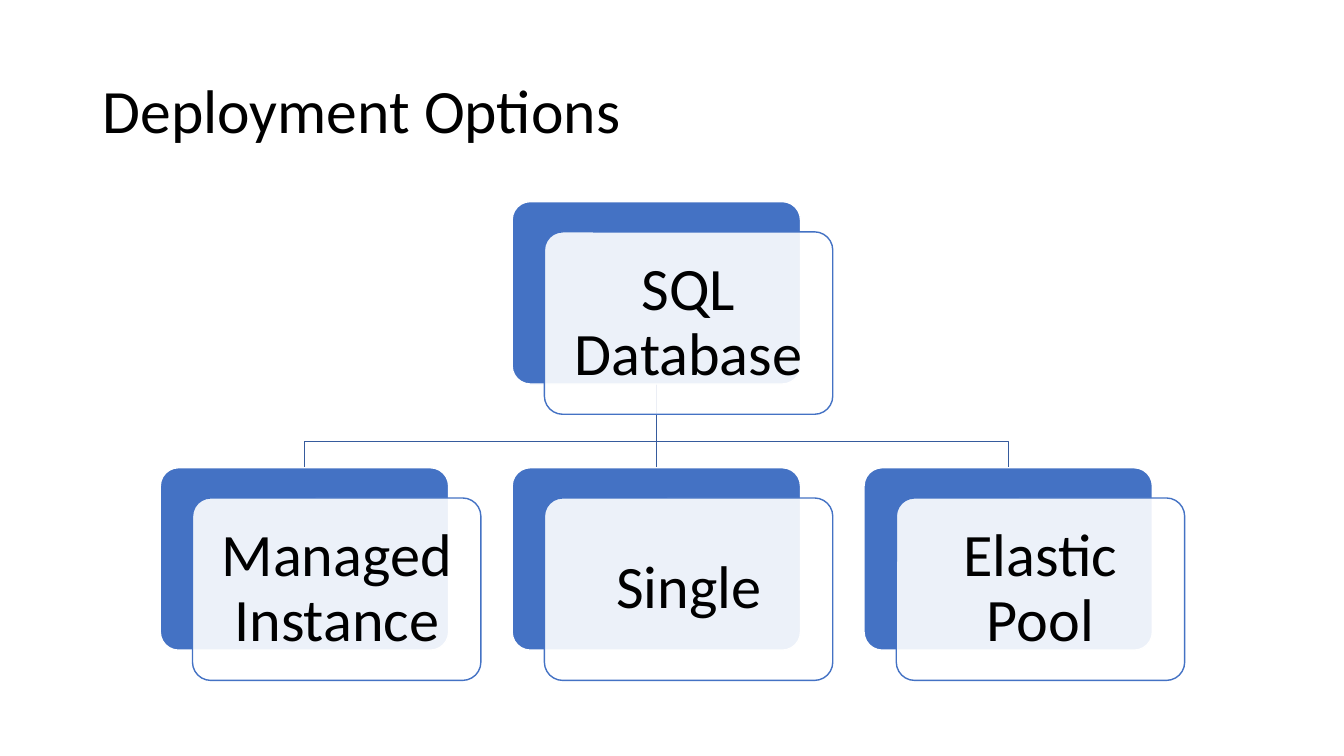
"""Build the Deployment Options slide, a two-level hierarchy of layered cards."""
from lxml import etree
from pptx import Presentation
from pptx.dml.color import RGBColor
from pptx.enum import shapes, text
from pptx.oxml.ns import qn
from pptx.util import Inches, Pt

BLACK = RGBColor(0x00, 0x00, 0x00)
WHITE = RGBColor(0xFF, 0xFF, 0xFF)
CARD_BLUE = RGBColor(0x44, 0x72, 0xC4)
BRANCH_BLUE = RGBColor(0x36, 0x5B, 0x9D)

CARD_WIDTH, CARD_HEIGHT = 2.86, 1.81
FRONT_SHIFT_X, FRONT_SHIFT_Y = 0.32, 0.3
COLUMN_LEFT, COLUMN_PITCH = 1.59, 3.49
ROOT_TOP, CHILD_TOP, BRANCH_Y = 2, 4.64, 4.38
CHILDREN = ["Managed Instance", "Single", "Elastic Pool"]


class HierarchySlide:
    """Hold the slide and its style, and draw each kind of element."""

    def __init__(self, slide, font_name="Calibri"):
        self.slide = slide
        self.font_name = font_name

    def set_text(self, shape, words, size, alignment):
        frame = shape.text_frame
        frame.text = words
        frame.word_wrap = True
        frame.vertical_anchor = text.MSO_ANCHOR.MIDDLE
        paragraph = frame.paragraphs[0]
        paragraph.alignment = alignment
        paragraph.line_spacing = 0.9
        paragraph.font.name = self.font_name
        paragraph.font.size = Pt(size)
        paragraph.font.color.rgb = BLACK

    def title(self, words):
        title = self.slide.shapes.title
        title.left, title.top = Inches(0.92), Inches(0.4)
        title.width, title.height = Inches(11.5), Inches(1.45)
        self.set_text(title, words, 44, text.PP_ALIGN.LEFT)

    def rounded_box(self, left, top, fill, line):
        box = self.slide.shapes.add_shape(
            shapes.MSO_SHAPE.ROUNDED_RECTANGLE, Inches(left), Inches(top),
            Inches(CARD_WIDTH), Inches(CARD_HEIGHT))
        box.adjustments[0] = 0.1
        box.shadow.inherit = False
        box.fill.solid()
        box.fill.fore_color.rgb = fill
        box.line.color.rgb = line
        box.line.width = Pt(1)
        return box

    def card(self, words, left, top):
        self.rounded_box(left, top, CARD_BLUE, WHITE)
        front = self.rounded_box(left + FRONT_SHIFT_X, top + FRONT_SHIFT_Y, WHITE, CARD_BLUE)
        color = front.element.spPr.find(qn("a:solidFill"))[0]
        etree.SubElement(color, qn("a:alpha"), val="90000")
        frame = front.text_frame
        frame.margin_left = frame.margin_right = Inches(0.18)
        frame.margin_top = frame.margin_bottom = Inches(0.18)
        self.set_text(front, words, 43, text.PP_ALIGN.CENTER)

    def straight_branch(self, x, top, bottom):
        branch = self.slide.shapes.add_connector(
            shapes.MSO_CONNECTOR.STRAIGHT, Inches(x), Inches(top), Inches(x), Inches(bottom))
        branch.line.color.rgb = BRANCH_BLUE
        branch.line.width = Pt(1)
        etree.SubElement(branch.element.spPr, qn("a:effectLst"))

    def elbow_branch(self, points):
        corners = [(Inches(x), Inches(y)) for x, y in points]
        builder = self.slide.shapes.build_freeform(*corners[0])
        builder.add_line_segments(corners[1:], close=False)
        branch = builder.convert_to_shape()
        branch.shadow.inherit = False
        branch.fill.background()
        branch.line.color.rgb = BRANCH_BLUE
        branch.line.width = Pt(1)


presentation = Presentation()
presentation.slide_width = Inches(13.33)
presentation.slide_height = Inches(7.5)
hierarchy = HierarchySlide(presentation.slides.add_slide(presentation.slide_layouts[5]))
hierarchy.title("Deployment Options")

column_lefts = [COLUMN_LEFT + index * COLUMN_PITCH for index in range(len(CHILDREN))]
root_left = column_lefts[1]
root_center = root_left + CARD_WIDTH / 2
root_bottom = ROOT_TOP + CARD_HEIGHT

for child_center in (root_center + COLUMN_PITCH, root_center - COLUMN_PITCH):
    hierarchy.elbow_branch([(root_center, root_bottom), (root_center, BRANCH_Y),
                            (child_center, BRANCH_Y), (child_center, CHILD_TOP)])
hierarchy.straight_branch(root_center, root_bottom, CHILD_TOP)

hierarchy.card("SQL Database", root_left, ROOT_TOP)
for child, left in zip(CHILDREN, column_lefts):
    hierarchy.card(child, left, CHILD_TOP)

presentation.save("out.pptx")
